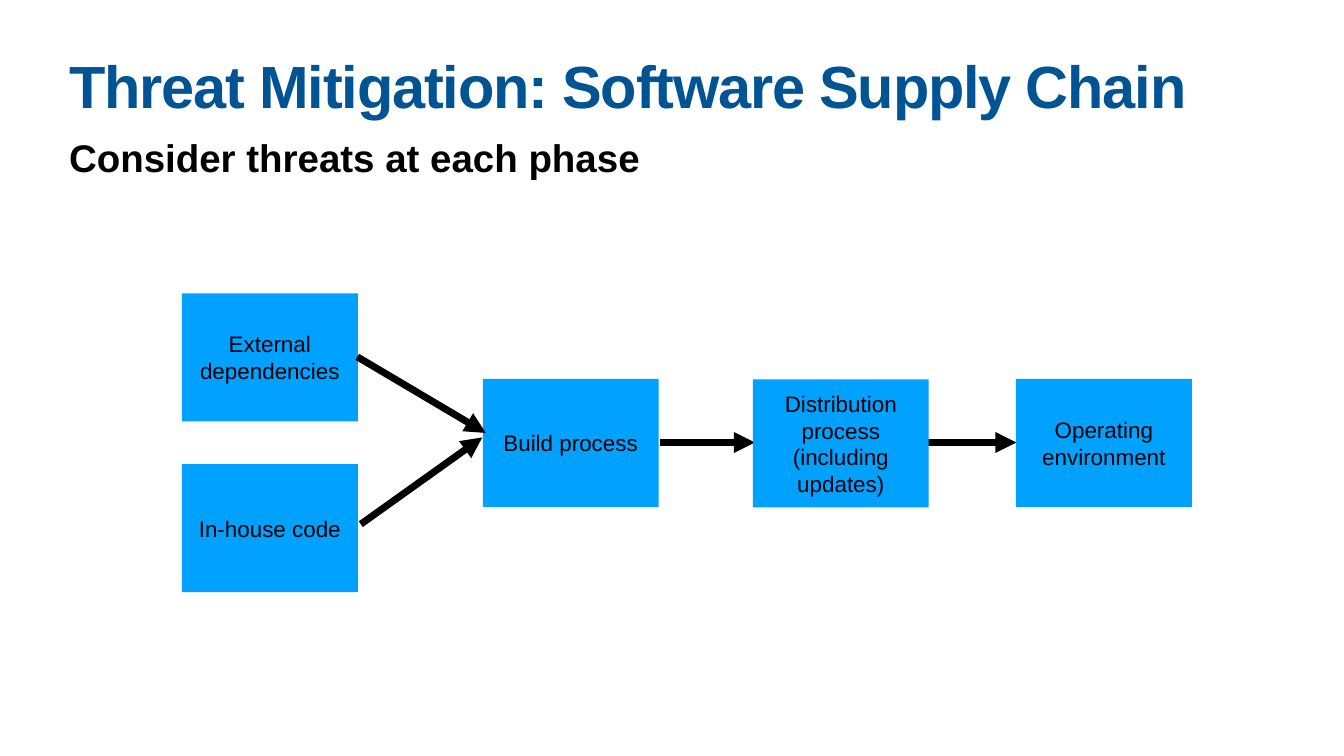
"""Build the software supply chain threat mitigation slide."""
from lxml.etree import SubElement
from pptx import Presentation
from pptx.dml.color import RGBColor
from pptx.enum.shapes import MSO_CONNECTOR, MSO_SHAPE
from pptx.enum.text import MSO_ANCHOR, PP_ALIGN
from pptx.oxml.ns import qn
from pptx.util import Inches, Pt

COLORS = {"title": "005493", "text": "000000", "box": "00A1FF", "arrow": "000000"}
BOX_W, BOX_H = 3.49, 2.54


def add_text(sp, text, size, color, bold=False, inset=0.06):
    tf = sp.text_frame
    tf.word_wrap = True
    tf.margin_left = tf.margin_right = Inches(inset)
    tf.margin_top = tf.margin_bottom = Inches(inset)
    p = tf.paragraphs[0]
    r = p.add_run()
    r.text = text
    r.font.name = "Arial"
    r.font.size = Pt(size)
    r.font.bold = bold
    r.font.color.rgb = RGBColor.from_string(COLORS[color])
    return p


def add_arrow(s, x1, y1, x2, y2):
    cn = s.shapes.add_connector(
        MSO_CONNECTOR.STRAIGHT, Inches(x1), Inches(y1), Inches(x2), Inches(y2)
    )
    cn.line.width = Pt(10)
    cn.line.color.rgb = RGBColor.from_string(COLORS["arrow"])
    SubElement(cn.line._get_or_add_ln(), qn("a:tailEnd"), type="triangle")
    SubElement(cn._element.spPr, qn("a:effectLst"))


prs = Presentation()
prs.slide_width, prs.slide_height = Inches(26.67), Inches(15)
s = prs.slides.add_slide(prs.slide_layouts[6])

title = s.shapes.add_textbox(Inches(1.32), Inches(1.18), Inches(24.03), Inches(1.57))
p = add_text(title, "Threat Mitigation: Software Supply Chain", 85, "title", bold=True)
p.line_spacing = 0.8
p.runs[0]._r.get_or_add_rPr().set("spc", "-170")

subtitle = s.shapes.add_textbox(Inches(1.32), Inches(2.6), Inches(24.03), Inches(1.02))
add_text(subtitle, "Consider threats at each phase", 55, "text", bold=True, inset=0.05)

for x1, x2 in [(13.09, 14.98), (18.28, 20.17)]:
    add_arrow(s, x1, 8.78, x2, 8.78)

phases = [
    ("External dependencies", 3.61, 5.82),
    ("In-house code", 3.61, 9.21),
    ("Build process", 9.58, 7.52),
    ("Distribution process (including updates)", 14.94, 7.53),
    ("Operating environment", 20.16, 7.52),
]
for text, x, y in phases:
    sp = s.shapes.add_shape(
        MSO_SHAPE.RECTANGLE, Inches(x), Inches(y), Inches(BOX_W), Inches(BOX_H)
    )
    sp.shadow.inherit = False
    sp.fill.solid()
    sp.fill.fore_color.rgb = RGBColor.from_string(COLORS["box"])
    sp.line.fill.background()
    sp.text_frame.vertical_anchor = MSO_ANCHOR.MIDDLE
    p = add_text(sp, text, 32, "text")
    p.alignment = PP_ALIGN.CENTER

add_arrow(s, 7.09, 7.08, 9.64, 8.59)
add_arrow(s, 7.16, 10.4, 9.57, 8.68)

prs.save("out.pptx")
